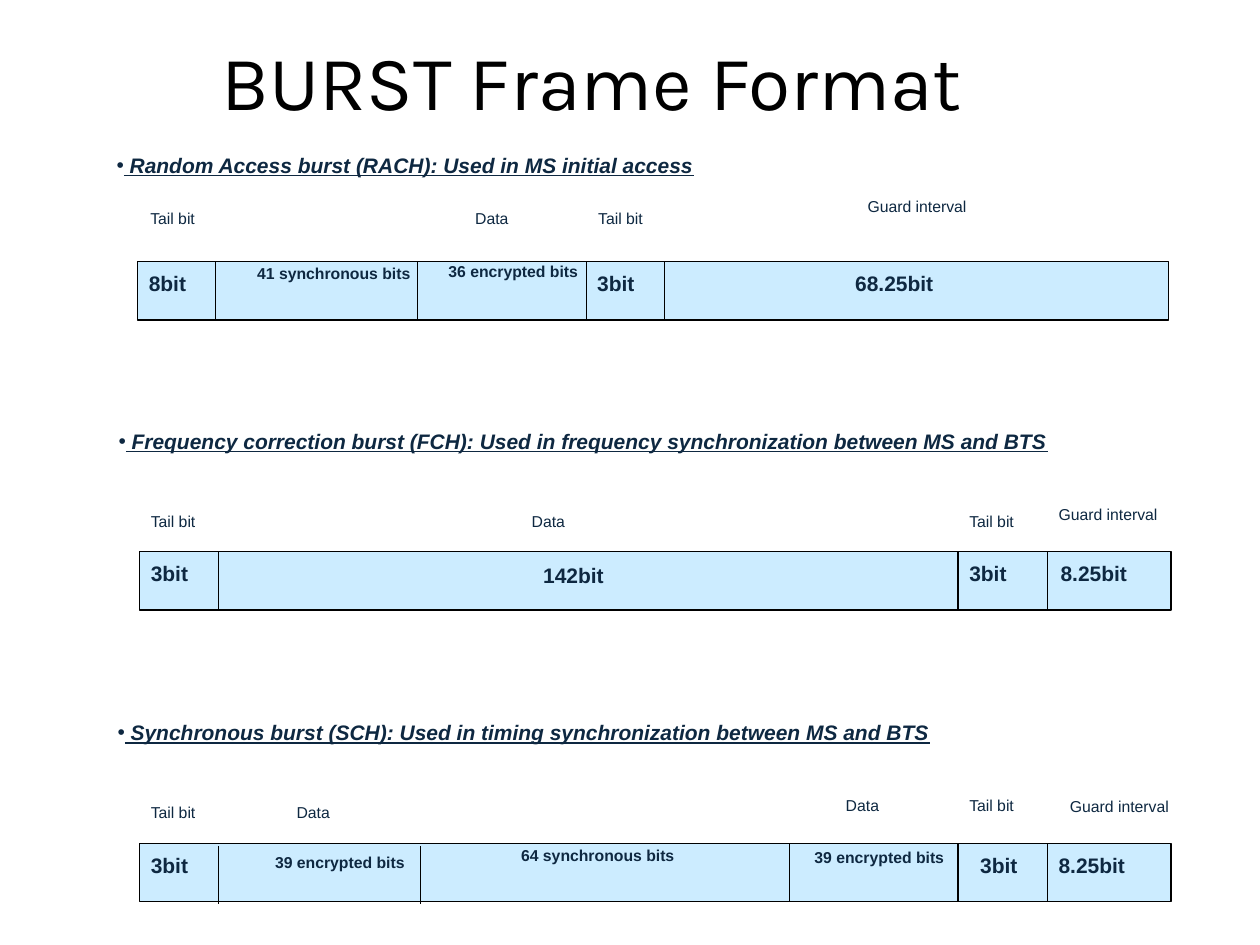
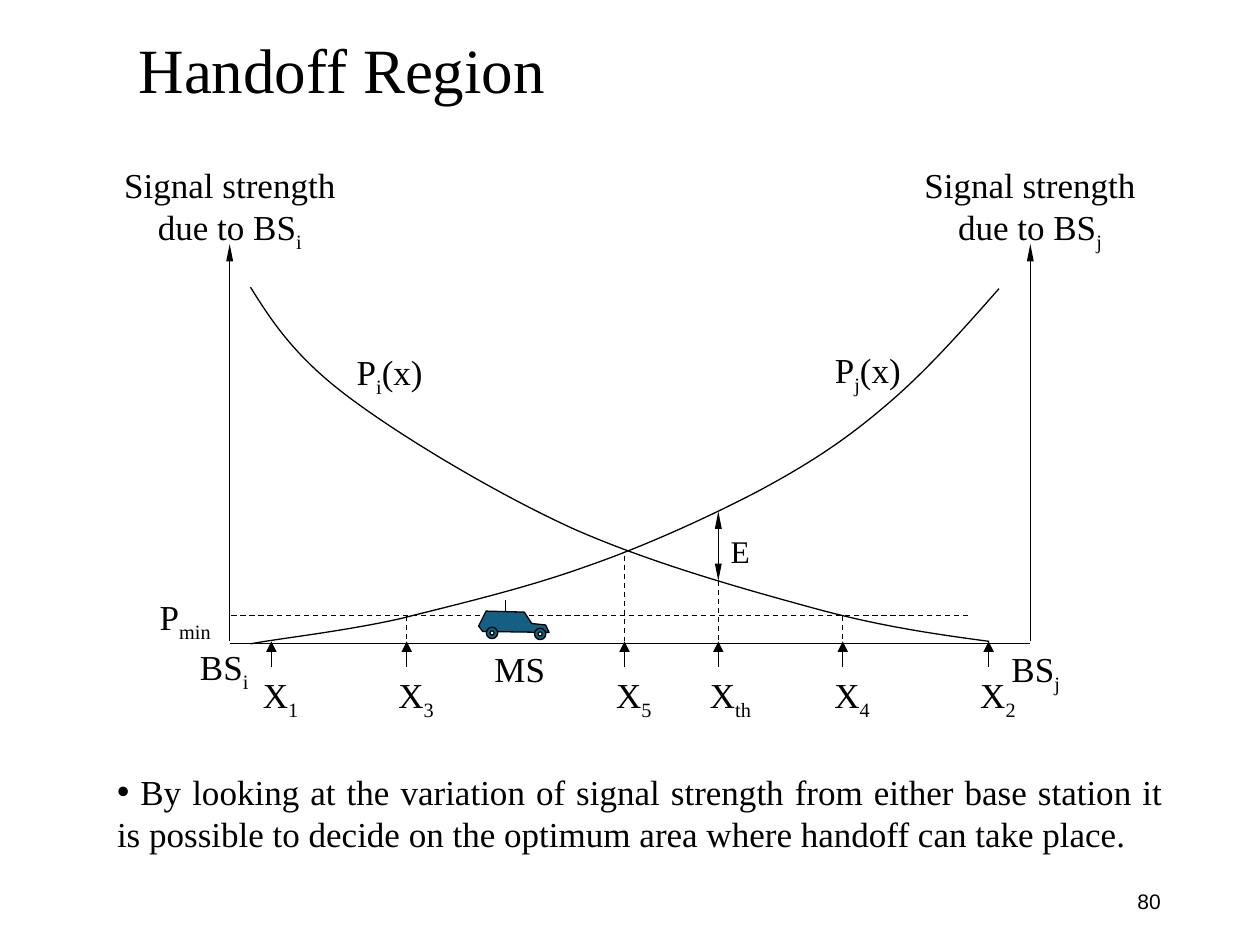
from lxml import etree
from pptx import Presentation
from pptx.dml.color import RGBColor
from pptx.enum import dml, shapes, text
from pptx.oxml.ns import qn
from pptx.util import Cm, Pt

BLACK, NAVY, SKY, TEAL, WHITE = "000000", "0E2841", "CCECFF", "156082", "FFFFFF"
SANS, SERIF = "Arial", "Times New Roman"
LEFT, CENTRE, RIGHT, JUSTIFY = (text.PP_ALIGN.LEFT, text.PP_ALIGN.CENTER,
                                text.PP_ALIGN.RIGHT, text.PP_ALIGN.JUSTIFY)

# ---- Content: burst frames (all lengths in cm) ----
# Cells and labels: text, left, offset from the top of the bar, width
BAR_WIDTH, BAR_HEIGHT = 20.79, 1.18
BURSTS = [
    {"heading": " Random Access burst (RACH): Used in MS initial access",
     "heading_at": (2.35, 3.07), "bar_at": (2.77, 5.27),
     "dividers": [(4.35, 0), (8.42, 0), (11.82, 0), (13.39, 0)],
     "cells": [("8bit", 3, 0.19, 1.8), ("41 synchronous bits", 4.81, 0.04, 3.84),
               ("36 encrypted bits", 8.87, 0.01, 2.95), ("3bit", 12.04, 0.19, 1.35),
               ("68.25bit", 17.24, 0.19, 2.49)],
     "labels": [("Tail bit", 3.03, -1.07), ("Data", 9.58, -1.07),
                ("Tail bit", 12.06, -1.07), ("Guard interval", 17.49, -1.31)]},
    {"heading": " Frequency correction burst (FCH): Used in frequency "
                "synchronization between MS and BTS",
     "heading_at": (2.39, 8.64), "bar_at": (2.82, 11.12),
     "dividers": [(4.4, 0), (19.31, 0), (21.11, 0)],
     "cells": [("3bit", 3.04, 0.18, 1.12), ("142bit", 10.95, 0.23, 1.8),
               ("3bit", 19.54, 0.18, 1.35), ("8.25bit", 21.38, 0.18, 2.2)],
     "labels": [("Tail bit", 3.04, -0.81), ("Data", 10.72, -0.81),
                ("Tail bit", 19.54, -0.81), ("Guard interval", 21.34, -0.95)]},
    {"heading": " Synchronous burst (SCH): Used in timing synchronization "
                "between MS and BTS",
     "heading_at": (2.37, 14.51), "bar_at": (2.82, 17),
     "dividers": [(4.4, 0.05), (8.47, 0.05), (15.92, 0), (19.31, 0), (21.11, 0)],
     "cells": [("3bit", 3.04, 0.19, 1.12), ("39 encrypted bits", 5.07, 0.2, 3.56),
               ("64 synchronous bits", 10.5, 0.04, 3.1),
               ("39 encrypted bits", 15.97, 0.09, 3.51),
               ("3bit", 19.76, 0.19, 1.35), ("8.25bit", 21.34, 0.19, 2.03)],
     "labels": [("Tail bit", 3.04, -0.82), ("Data", 5.98, -0.82),
                ("Data", 17.05, -0.95), ("Tail bit", 19.54, -0.95),
                ("Guard interval", 21.57, -0.93)]},
]

# ---- Content: handoff diagram ----
BASELINE, AXIS_END, AXIS_TOP = 12.97, 12.93, 4.92
AXIS_I, AXIS_J = 4.63, 20.77
P_MIN, MARK_FOOT = 12.41, 13.45
X_THRESHOLD = 14.48

# Subscript, position, top of the dashed drop line
MARKS = [("1", 5.47, None), ("3", 8.2, P_MIN), ("5", 12.59, 11.2),
         ("th", X_THRESHOLD, 11.53), ("4", 16.99, P_MIN), ("2", 19.93, None)]

# Chained cubic curves: start, then two controls and an end for each stretch
POWER_I = [(5.05, 5.79), (5.51, 6.53), (5.99, 7.24), (7.09, 8.05),
           (8.18, 8.86), (10.06, 9.98), (11.58, 10.67),
           (13.13, 11.35), (14.94, 11.86), (16.33, 12.24),
           (17.7, 12.62), (18.82, 12.78), (19.94, 12.93)]
POWER_J = [(20.14, 5.82), (19.38, 6.68), (18.64, 7.52), (17.83, 8.2),
           (17.02, 8.89), (16.28, 9.37), (15.27, 9.91),
           (14.25, 10.44), (12.98, 11.02), (11.79, 11.43),
           (10.59, 11.86), (9.19, 12.19), (8.08, 12.47),
           (6.93, 12.73), (5.56, 12.88), (5.05, 12.98)]

# Every second part is a subscript; then left, top, width, size, alignment
DIAGRAM_LABELS = [
    (("Signal strength due to BS", "i"), 2.12, 3.18, 5.03, 20, CENTRE),
    (("Signal strength due to BS", "j"), 18.25, 3.18, 5.03, 20, CENTRE),
    (("P", "i", "(x)"), 6.94, 6.94, 1.88, 20, LEFT),
    (("P", "j", "(x)"), 16.58, 6.91, 1.88, 20, LEFT),
    (("P", "min"), 2.97, 11.89, 1.88, 20, LEFT),
    (("BS", "i"), 3.58, 12.89, 1.68, 20, RIGHT),
    (("BS", "j"), 20.14, 12.93, 1.68, 20, LEFT),
    (("MS",), 9.53, 12.93, 1.9, 20, CENTRE),
    (("E",), X_THRESHOLD, 10.6, 0.84, 18, LEFT),
]
CAR_BODY = [(9.65, 12.62), (9.8, 12.32), (10.57, 12.34), (10.72, 12.57),
            (11, 12.6), (11.07, 12.75), (9.73, 12.73)]
WHEEL_CENTRES = [(9.92, 12.76), (10.89, 12.78)]
CONCLUSION = (" By looking at the variation of signal strength from either base "
              "station it is possible to decide on the optimum area where "
              "handoff can take place.")


# ---- Shared helpers ----
def rgb(value):
    return RGBColor.from_string(value)


def add_run(paragraph, words, size, font, colour, bold=False, emphasis=False,
            baseline=0):
    run = paragraph.add_run()
    run.text = words
    run.font.size, run.font.name = Pt(size), font
    run.font.color.rgb = rgb(colour)
    run.font.bold = bold
    if emphasis:
        run.font.italic = run.font.underline = True
    if baseline:
        run._r.get_or_add_rPr().set("baseline", str(baseline * 1000))


def add_title(slide, words, box, size, font):
    title = slide.shapes.title
    title.left, title.top, title.width, title.height = map(Cm, box)
    frame = title.text_frame
    frame.vertical_anchor = text.MSO_ANCHOR.MIDDLE
    paragraph = frame.paragraphs[0]
    paragraph.alignment, paragraph.line_spacing = LEFT, 0.9
    add_run(paragraph, words, size, font, BLACK)


def add_text(slide, parts, left, top, width, size, font=SERIF, colour=BLACK,
             align=LEFT, height=1.09, padded=True, bullet=False, **style):
    frame = slide.shapes.add_textbox(*map(Cm, (left, top, width, height))).text_frame
    frame.word_wrap = True
    if not padded:
        frame.margin_left = frame.margin_right = 0
        frame.margin_top = frame.margin_bottom = 0
    paragraph = frame.paragraphs[0]
    if bullet:
        properties = paragraph._p.get_or_add_pPr()
        etree.SubElement(properties, qn("a:buFont")).set("typeface", SANS)
        etree.SubElement(properties, qn("a:buChar")).set("char", "•")
    paragraph.alignment = align
    for index, words in enumerate(parts):
        add_run(paragraph, words, size, font, colour,
                baseline=-25 if index % 2 else 0, **style)
    return frame


def add_line(slide, x1, y1, x2, y2, dashed=False, heads=(), slim=False):
    connector = slide.shapes.add_connector(
        shapes.MSO_CONNECTOR.STRAIGHT, *map(Cm, (x1, y1, x2, y2)))
    connector.line.color.rgb, connector.line.width = rgb(BLACK), Pt(0.75)
    if dashed:
        connector.line.dash_style = dml.MSO_LINE.DASH
    properties = connector._element.spPr
    for end in heads:
        head = etree.SubElement(properties.find(qn("a:ln")), qn("a:" + end))
        head.set("type", "triangle")
        if slim:
            head.set("w", "sm")
            head.set("len", "lg")
    etree.SubElement(properties, qn("a:effectLst"))


def paint(shape, fill=None):
    shape.shadow.inherit = False
    shape.line.color.rgb, shape.line.width = rgb(BLACK), Pt(0.75)
    if fill:
        shape.fill.solid()
        shape.fill.fore_color.rgb = rgb(fill)
    else:
        shape.fill.background()


def add_preset(slide, kind, box, fill):
    paint(slide.shapes.add_shape(kind, *map(Cm, box)), fill)


def add_outline(slide, points, fill=None):
    corners = [(Cm(x), Cm(y)) for x, y in points]
    builder = slide.shapes.build_freeform(*corners[0])
    builder.add_line_segments(corners[1:], close=bool(fill))
    outline = builder.convert_to_shape()
    paint(outline, fill)
    return outline


def add_curve(slide, nodes):
    """Draw the nodes as an outline, then merge each three segments into a cubic."""
    segments = list(add_outline(slide, nodes)._element.iter(qn("a:lnTo")))
    for first in range(0, len(segments), 3):
        stretch = segments[first:first + 3]
        cubic = etree.Element(qn("a:cubicBezTo"))
        stretch[0].addprevious(cubic)
        for segment in stretch:
            cubic.append(segment[0])
            segment.getparent().remove(segment)


# ---- Slides ----
def build_bursts(slide):
    add_title(slide, "BURST Frame Format", (4.21, 0.53, 17.15, 2.39), 44, "Karla")
    for burst in BURSTS:
        add_text(slide, [burst["heading"]], *burst["heading_at"], 21, 12, SANS, NAVY,
                 height=0.6, padded=False, bullet=True, bold=True, emphasis=True)
        left, top = burst["bar_at"]
        add_preset(slide, shapes.MSO_SHAPE.RECTANGLE,
                   (left, top, BAR_WIDTH, BAR_HEIGHT), SKY)
        for x, drop in burst["dividers"]:
            add_line(slide, x, top + drop, x, top + drop + BAR_HEIGHT)
        for words, x, offset, width in burst["cells"]:
            wordy = words.endswith("bits")
            add_text(slide, [words], x, top + offset, width, 9 if wordy else 12,
                     SANS, NAVY, CENTRE if wordy else LEFT, height=0.6,
                     padded=False, bold=True)
        for words, x, offset in burst["labels"]:
            add_text(slide, [words], x, top + offset, 2.95, 9, SANS, NAVY,
                     height=0.58, padded=False)


def build_handoff(slide):
    add_title(slide, "Handoff Region", (2.54, 0.42, 21.59, 2.11), 36, SERIF)

    # Axes, curves and the minimum power level
    add_line(slide, AXIS_I, BASELINE, AXIS_J, BASELINE)
    for axis in (AXIS_I, AXIS_J):
        add_line(slide, axis, AXIS_END, axis, AXIS_TOP, heads=["tailEnd"], slim=True)
    for curve in (POWER_I, POWER_J):
        add_curve(slide, curve)
    add_line(slide, 19.51, P_MIN, AXIS_I, P_MIN, dashed=True)
    add_line(slide, X_THRESHOLD, 11.71, X_THRESHOLD, 10.31,
             heads=["headEnd", "tailEnd"], slim=True)

    # Positions along the road
    for subscript, x, drop_top in MARKS:
        if drop_top:
            add_line(slide, x, drop_top, x, AXIS_END, dashed=True)
        add_line(slide, x, MARK_FOOT, x, AXIS_END, heads=["tailEnd"])
        add_text(slide, ["X", subscript], x - 0.42, MARK_FOOT, 1.68, 20)

    # Car
    add_outline(slide, CAR_BODY, TEAL)
    for x, y in WHEEL_CENTRES:
        for size, fill in ((0.23, TEAL), (0.08, WHITE)):
            add_preset(slide, shapes.MSO_SHAPE.OVAL,
                       (x - size / 2, y - size / 2, size, size), fill)
    add_line(slide, 10.19, 12.32, 10.19, 12.09)

    # Labels, conclusion and page number
    for parts, left, top, width, size, align in DIAGRAM_LABELS:
        add_text(slide, parts, left, top, width, size, align=align)
    add_text(slide, [CONCLUSION], 2.11, 15.41, 21.59, 20, align=JUSTIFY,
             height=1.96, bullet=True)
    page = add_text(slide, ["80"], 17.93, 17.65, 5.72, 12, SANS, align=RIGHT,
                    height=1.02)
    page.vertical_anchor = text.MSO_ANCHOR.MIDDLE


def main():
    deck = Presentation()
    deck.slide_width, deck.slide_height = Cm(25.4), Cm(19.05)
    title_only = deck.slide_layouts[5]
    for build in (build_bursts, build_handoff):
        build(deck.slides.add_slide(title_only))
    deck.save("out.pptx")


if __name__ == "__main__":
    main()
